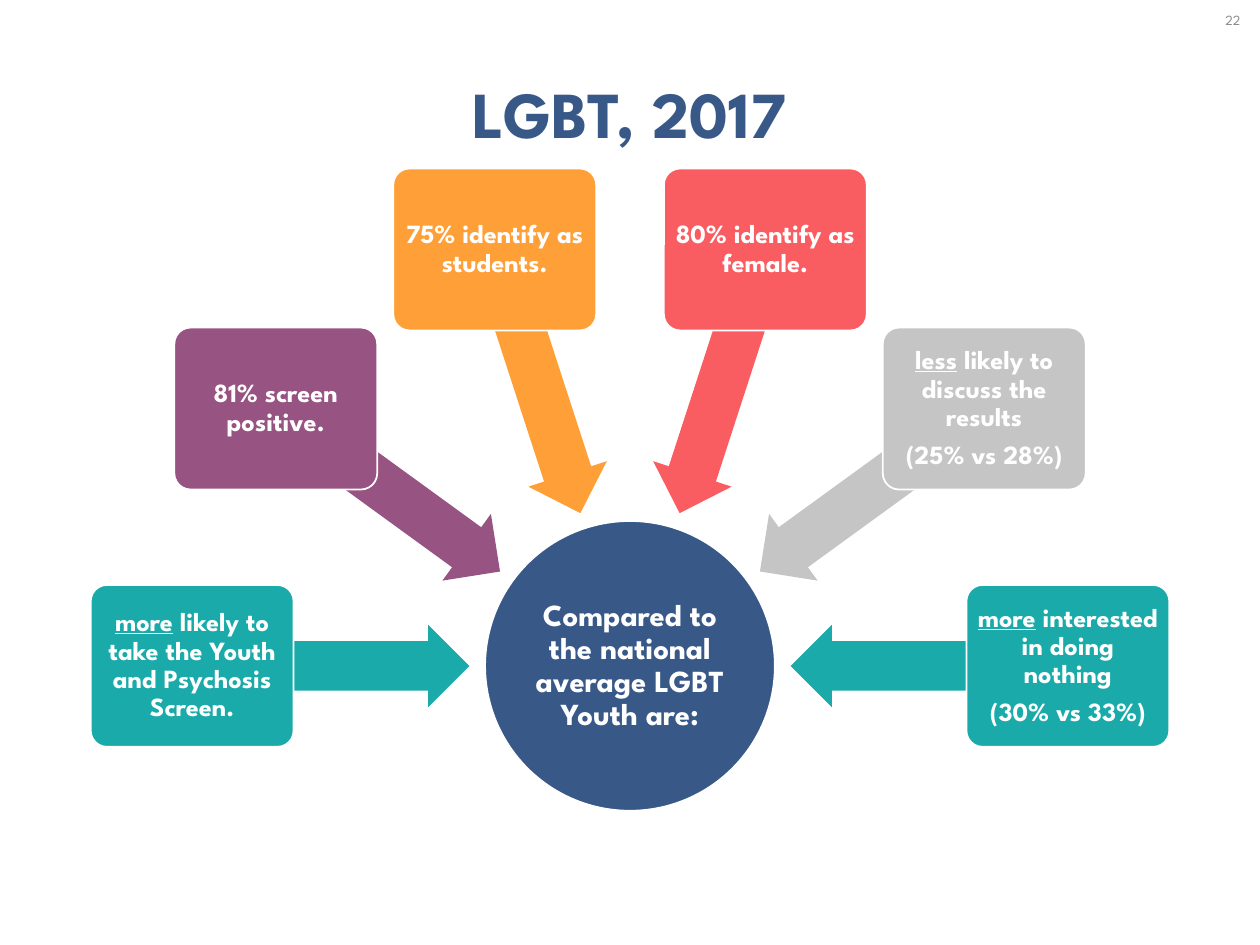
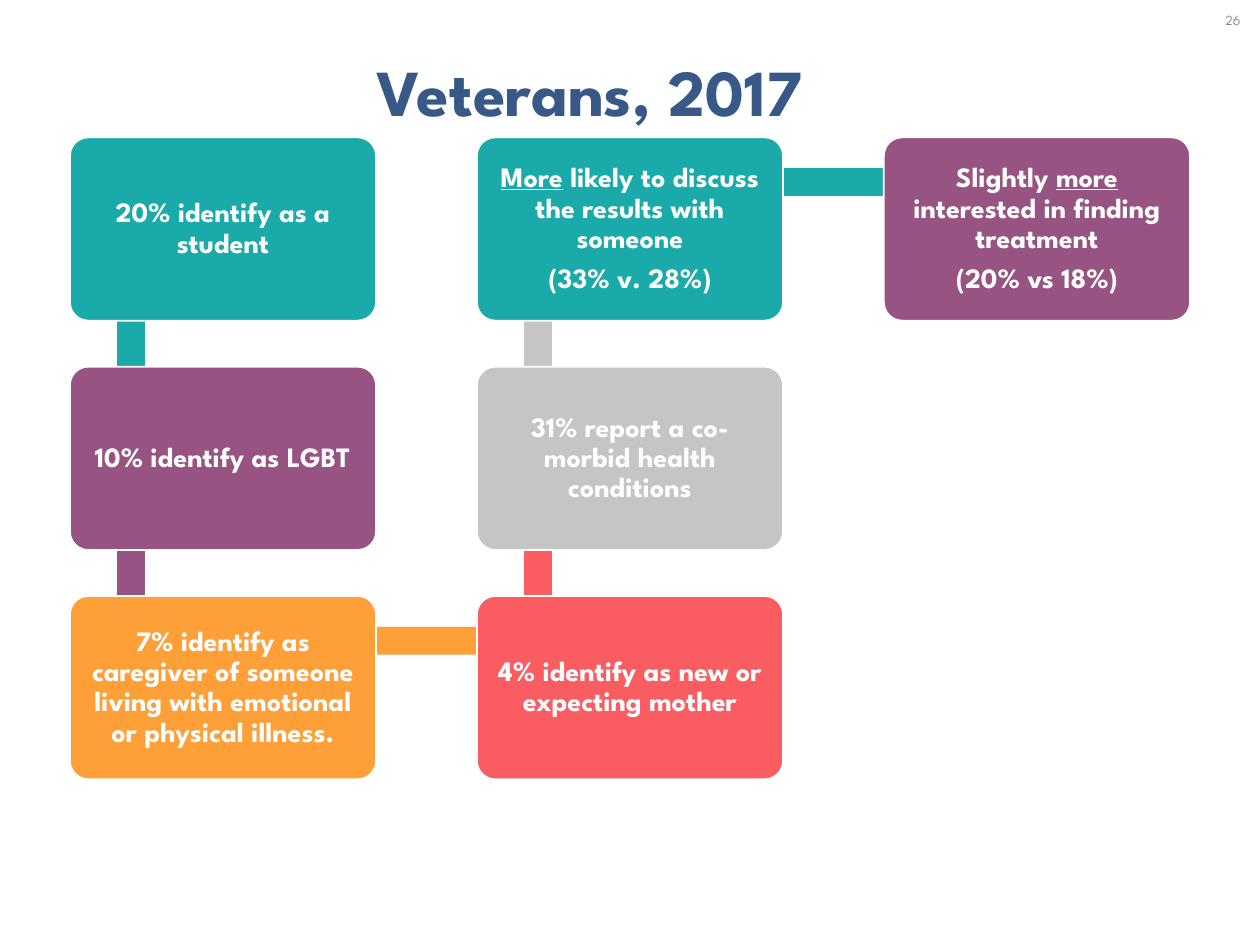
import math

import pptx
import pptx.dml.color
import pptx.enum.shapes
import pptx.enum.text
import pptx.util

Inches = pptx.util.Inches
RGBColor = pptx.dml.color.RGBColor
SHAPES = pptx.enum.shapes.MSO_SHAPE

# Shared look
NAVY = RGBColor(0x38, 0x59, 0x88)
TEAL = RGBColor(0x1B, 0xAA, 0xAA)
PURPLE = RGBColor(0x97, 0x53, 0x81)
ORANGE = RGBColor(0xFF, 0x9F, 0x37)
CORAL = RGBColor(0xF9, 0x5D, 0x62)
SILVER = RGBColor(0xC5, 0xC5, 0xC5)
GRAY = RGBColor(0x8C, 0x8C, 0x8C)
WHITE = RGBColor(0xFF, 0xFF, 0xFF)
FONT = "League Spartan"

SPOKES = [
    (["_more_ likely to take the Youth and Psychosis Screen."], TEAL),
    (["81% screen positive."], PURPLE),
    (["75% identify as students."], ORANGE),
    (["80% identify as female."], CORAL),
    (["_less_ likely to discuss the results", "(25% vs 28%)"], SILVER),
    (["_more_ interested in doing nothing", "(30% vs 33%)"], TEAL),
]

# Text, colour and (column, row) along the winding path
STEPS = [
    (["20% identify as a student"], TEAL, (0, 0)),
    (["10% identify as LGBT"], PURPLE, (0, 1)),
    (["7% identify as caregiver of someone living with emotional "
      "or physical illness."], ORANGE, (0, 2)),
    (["4% identify as new or expecting mother"], CORAL, (1, 2)),
    (["31% report a co-morbid health conditions"], SILVER, (1, 1)),
    (["_More_ likely to discuss the results with someone",
      "(33% v. 28%)"], TEAL, (1, 0)),
    (["Slightly _more_ interested in finding treatment",
      "(20% vs 18%)"], PURPLE, (2, 0)),
]


def set_all(target, values):
    for name, value in values.items():
        setattr(target, name, value)


def write(shape, lines, size, color, bold=True, inset=None, loose=True):
    """Write centred paragraphs; words between underscores are underlined."""
    frame = shape.text_frame
    set_all(frame, {"word_wrap": True,
                    "vertical_anchor": pptx.enum.text.MSO_ANCHOR.MIDDLE})
    if inset is not None:
        set_all(frame, {f"margin_{side}": Inches(inset)
                        for side in ("left", "top", "right", "bottom")})
    for index, line in enumerate(lines):
        paragraph = frame.add_paragraph() if index else frame.paragraphs[0]
        paragraph.alignment = pptx.enum.text.PP_ALIGN.CENTER
        if loose:
            set_all(paragraph, {"line_spacing": 0.9,
                                "space_after": pptx.util.Pt(0.35 * size)})
        for part, words in enumerate(line.split("_")):
            if not words:
                continue
            run = paragraph.add_run()
            run.text = words
            set_all(run.font, {"name": FONT, "size": pptx.util.Pt(size),
                               "bold": bold})
            if part % 2:
                run.font.underline = True
            run.font.color.rgb = color


def add_filled(slide, kind, box, fill, adjustments=(), outlined=False):
    shape = slide.shapes.add_shape(kind, *map(Inches, box))
    shape.shadow.inherit = False
    shape.fill.solid()
    shape.fill.fore_color.rgb = fill
    if outlined:
        shape.line.color.rgb = WHITE
        shape.line.width = pptx.util.Pt(2)
    else:
        shape.line.fill.background()
    for index, value in enumerate(adjustments):
        shape.adjustments[index] = value
    return shape


def add_card(slide, box, lines, fill, size, inset):
    card = add_filled(slide, SHAPES.ROUNDED_RECTANGLE, box, fill, [0.1], True)
    write(card, lines, size, WHITE, inset=inset)


def add_slide(presentation, title, title_top, number, right_margin=0.1):
    """Add a blank slide with its title and page number."""
    slide = presentation.slides.add_slide(presentation.slide_layouts[6])
    heading = slide.shapes.add_textbox(
        *map(Inches, (0.83, title_top, 18.31, 1.45)))
    write(heading, [title], 75, NAVY, loose=False)
    heading.text_frame.margin_right = Inches(right_margin)
    page = slide.shapes.add_textbox(*map(Inches, (19.14, 0, 0.86, 0.63)))
    write(page, [number], 16, GRAY, bold=False, loose=False)
    return slide


def centered(x, y, width, height):
    return x - width / 2, y - height / 2, width, height


def add_radial(slide, center_x, center_y):
    """Place a hub with cards on a half circle, each pointing inward."""
    hub = add_filled(slide, SHAPES.OVAL, centered(center_x, center_y, 4.6, 4.6),
                     NAVY, outlined=True)
    write(hub, ["Compared to the national average LGBT Youth are:"],
          35, WHITE, inset=0.02)
    step = 180 / (len(SPOKES) - 1)
    for index, (lines, color) in enumerate(SPOKES):
        angle = 180 + step * index
        across = math.cos(math.radians(angle))
        down = math.sin(math.radians(angle))

        def at(radius, width, height):
            return centered(center_x + radius * across,
                            center_y + radius * down, width, height)

        arrow = add_filled(slide, SHAPES.LEFT_ARROW, at(4.75, 4.4, 1.31),
                           color, [0.6, 0.5])
        arrow.rotation = angle % 360
        add_card(slide, at(6.95, 3.22, 2.57), lines, color, 30, 0.06)


def add_winding_path(slide, left, top):
    """Place cards on a grid, with a bar from each card to the next."""
    pitch_x, pitch_y, thickness = 6.46, 3.64, 0.44

    def corner(cell):
        return left + cell[0] * pitch_x, top + cell[1] * pitch_y

    for index, (lines, color, cell) in enumerate(STEPS):
        if index + 1 < len(STEPS):
            following = STEPS[index + 1][2]
            x, y = corner(min(cell, following))
            if cell[0] == following[0]:
                bar = x + 0.75, y + 0.72, thickness, pitch_y
            else:
                bar = x + 0.98, y + 0.49, pitch_x, thickness
            add_filled(slide, SHAPES.RECTANGLE, bar, color)
        add_card(slide, (*corner(cell), 4.86, 2.91), lines, color, 32, 0.13)


def main():
    presentation = pptx.Presentation()
    set_all(presentation, {"slide_width": Inches(20),
                           "slide_height": Inches(15)})
    add_radial(add_slide(presentation, "LGBT, 2017", 1.05, "22"), 10, 10.57)
    add_winding_path(
        add_slide(presentation, "Veterans, 2017", 0.7, "26", 1.36), 1.11, 2.18)
    presentation.save("out.pptx")


if __name__ == "__main__":
    main()
